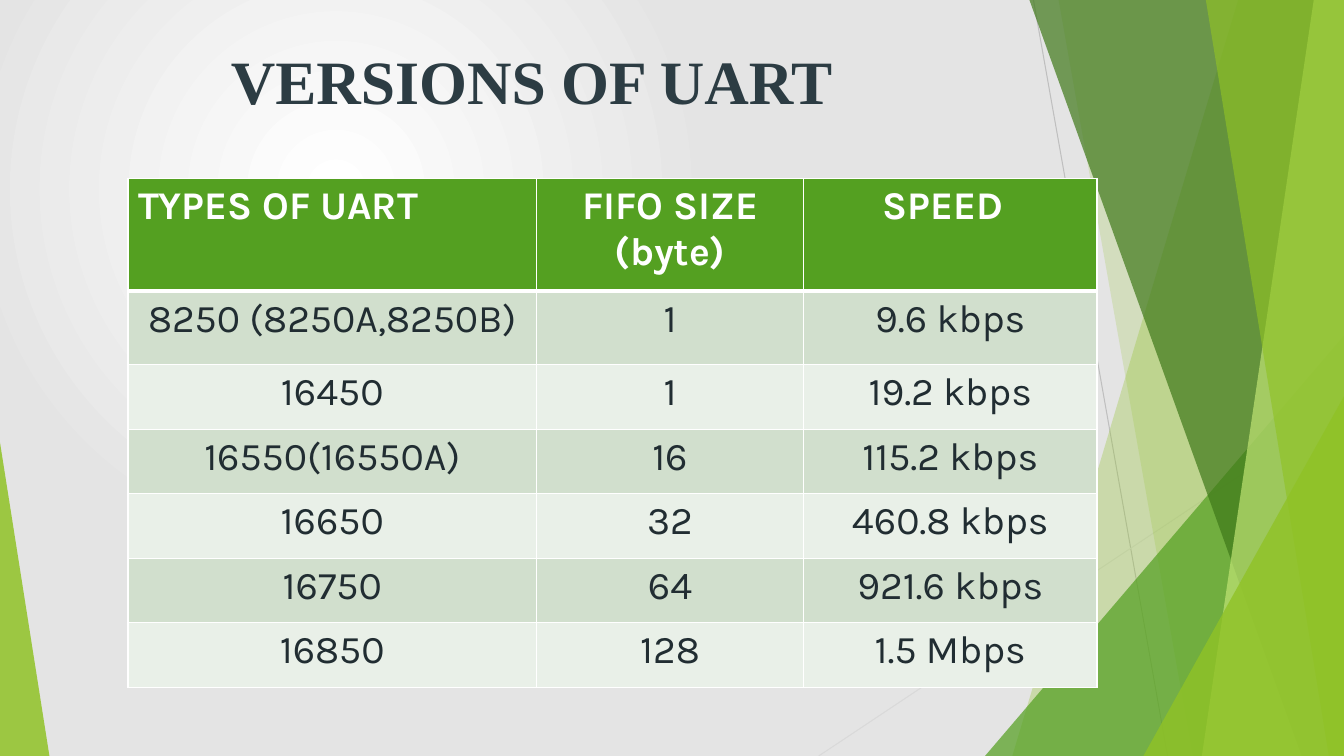
"""Build the slide that compares the versions of UART."""
from pptx import Presentation
from pptx.dml.color import RGBColor
from pptx.enum import shapes, text
from pptx.oxml import parse_xml
from pptx.oxml.ns import nsdecls, qn
from pptx.util import Inches, Pt

WIDTH, HEIGHT = 13.33, 7.5
TITLE = "VERSIONS OF UART"
ROWS = [
    ("TYPES OF UART", "FIFO SIZE\n(byte)", "SPEED"),
    ("8250 (8250A,8250B)", "1", "9.6 kbps"),
    ("16450", "1", "19.2 kbps"),
    ("16550(16550A)", "16", "115.2 kbps"),
    ("16650", "32", "460.8 kbps"),
    ("16750", "64", "921.6 kbps"),
    ("16850", "128", "1.5 Mbps"),
]
COLUMN_WIDTHS = [4.05, 2.65, 2.91]
ROW_HEIGHTS = [1.12, 0.73] + [0.64] * 5
BACKGROUND_STOPS = [(0, "FFFFFF"), (50, "E4E4E4")]
HAIRLINES = [
    (10.25, 0, 11.58, HEIGHT, "BFBFBF"),
    (WIDTH, 4.03, 8.12, HEIGHT, "D9D9D9"),
]
# Bands give top and bottom x of the slanted edge; triangles give left, top, width, apex.
DECORATIONS = [
    ("band", (12.28, 10.04), "90C226", 30),
    ("band", (10.5, 11.83), "90C226", 20),
    ("triangle", (9.77, 3.33, 3.56, 1), "54A021", 72),
    ("band", (10.21, 12.91), "3F7819", 70),
    ("band", (13.03, 11.92), "C0E474", 70),
    ("band", (11.96, 13.18), "90C226", 65),
    ("triangle", (11.34, 3.93, 1.99, 1), "90C226", 80),
    ("triangle", (0, 4.39, 0.49, 0), "90C226", 85),
]


def rgb(code):
    return RGBColor.from_string(code)


def paint_background(page):
    page.background.fill.gradient()
    gradient = page.element.find(".//" + qn("a:gradFill"))
    stops = "".join(
        f'<a:gs pos="{place * 1000}"><a:srgbClr val="{code}"/></a:gs>'
        for place, code in BACKGROUND_STOPS
    )
    gradient.getparent().replace(gradient, parse_xml(
        f'<a:gradFill {nsdecls("a")} rotWithShape="1"><a:gsLst>{stops}</a:gsLst>'
        '<a:path path="circle"><a:fillToRect l="50000" t="50000" r="100000" b="100000"/>'
        '</a:path></a:gradFill>'))


def add_hairline(page, left, top, right, bottom, code):
    line = page.shapes.add_connector(
        shapes.MSO_CONNECTOR.STRAIGHT, *map(Inches, (left, top, right, bottom)))
    line.line.color.rgb = rgb(code)
    line.line.width = Pt(0.75)
    line.element.spPr.append(parse_xml(f'<a:effectLst {nsdecls("a")}/>'))


def add_decoration(page, kind, place, code, opacity):
    if kind == "band":
        top_x, bottom_x = place
        corners = [(WIDTH, 0), (WIDTH, HEIGHT), (bottom_x, HEIGHT)]
        builder = page.shapes.build_freeform(Inches(top_x), 0)
        builder.add_line_segments([(Inches(x), Inches(y)) for x, y in corners])
        shape = builder.convert_to_shape()
    else:
        left, top, width, apex = place
        shape = page.shapes.add_shape(
            shapes.MSO_SHAPE.ISOSCELES_TRIANGLE,
            *map(Inches, (left, top, width, HEIGHT - top)))
        shape.adjustments[0] = apex
    shape.shadow.inherit = False
    shape.line.fill.background()
    shape.fill.solid()
    shape.fill.fore_color.rgb = rgb(code)
    color = shape.element.spPr.find(qn("a:solidFill"))[0]
    color.append(parse_xml(f'<a:alpha {nsdecls("a")} val="{opacity * 1000}"/>'))


def format_title(page):
    title = page.shapes.title
    title.left, title.top, title.width, title.height = map(Inches, (2.19, 0.38, 9.75, 1.4))
    frame = title.text_frame
    frame.text = TITLE
    frame.auto_size = text.MSO_AUTO_SIZE.NONE
    frame.vertical_anchor = text.MSO_ANCHOR.TOP
    para = frame.paragraphs[0]
    para.alignment = text.PP_ALIGN.LEFT
    font = para.runs[0].font
    font.name, font.size, font.bold = "Times New Roman", Pt(44), True
    font.color.rgb = rgb("2C3C43")
    page.shapes.element.append(title.element)


def format_cell(cell, wording, row, column):
    header = row == 0
    cell.text_frame.text = wording
    cell.fill.solid()
    cell.fill.fore_color.rgb = rgb("54A021" if header else "D1DFCD" if row % 2 else "E9F0E8")
    for para in cell.text_frame.paragraphs:
        first = header and column == 0
        para.alignment = text.PP_ALIGN.LEFT if first else text.PP_ALIGN.CENTER
        font = para.runs[0].font
        font.name, font.size, font.bold = "Karla", Pt(28), header
        font.color.rgb = rgb("FFFFFF" if header else "212D32")
    properties = cell._tc.get_or_add_tcPr()
    for index, side in enumerate("LRTB"):
        points = 3 if header and side == "B" else 1
        properties.insert(index, parse_xml(
            f'<a:ln{side} {nsdecls("a")} w="{Pt(points)}"><a:solidFill>'
            f'<a:srgbClr val="FFFFFF"/></a:solidFill></a:ln{side}>'))


def add_versions_table(page):
    table = page.shapes.add_table(
        len(ROWS), len(COLUMN_WIDTHS), Inches(1.27), Inches(1.77),
        Inches(sum(COLUMN_WIDTHS)), Inches(sum(ROW_HEIGHTS))).table
    for column, width in zip(table.columns, COLUMN_WIDTHS):
        column.width = Inches(width)
    for row, height in zip(table.rows, ROW_HEIGHTS):
        row.height = Inches(height)
    for row, wordings in enumerate(ROWS):
        for column, wording in enumerate(wordings):
            format_cell(table.cell(row, column), wording, row, column)
    table.cell(0, 2).margin_right = Inches(0.24)


def main():
    deck = Presentation()
    deck.slide_width, deck.slide_height = Inches(WIDTH), Inches(HEIGHT)
    page = deck.slides.add_slide(deck.slide_layouts[5])
    paint_background(page)
    for hairline in HAIRLINES:
        add_hairline(page, *hairline)
    for decoration in DECORATIONS:
        add_decoration(page, *decoration)
    format_title(page)
    add_versions_table(page)
    deck.save("out.pptx")


if __name__ == "__main__":
    main()
